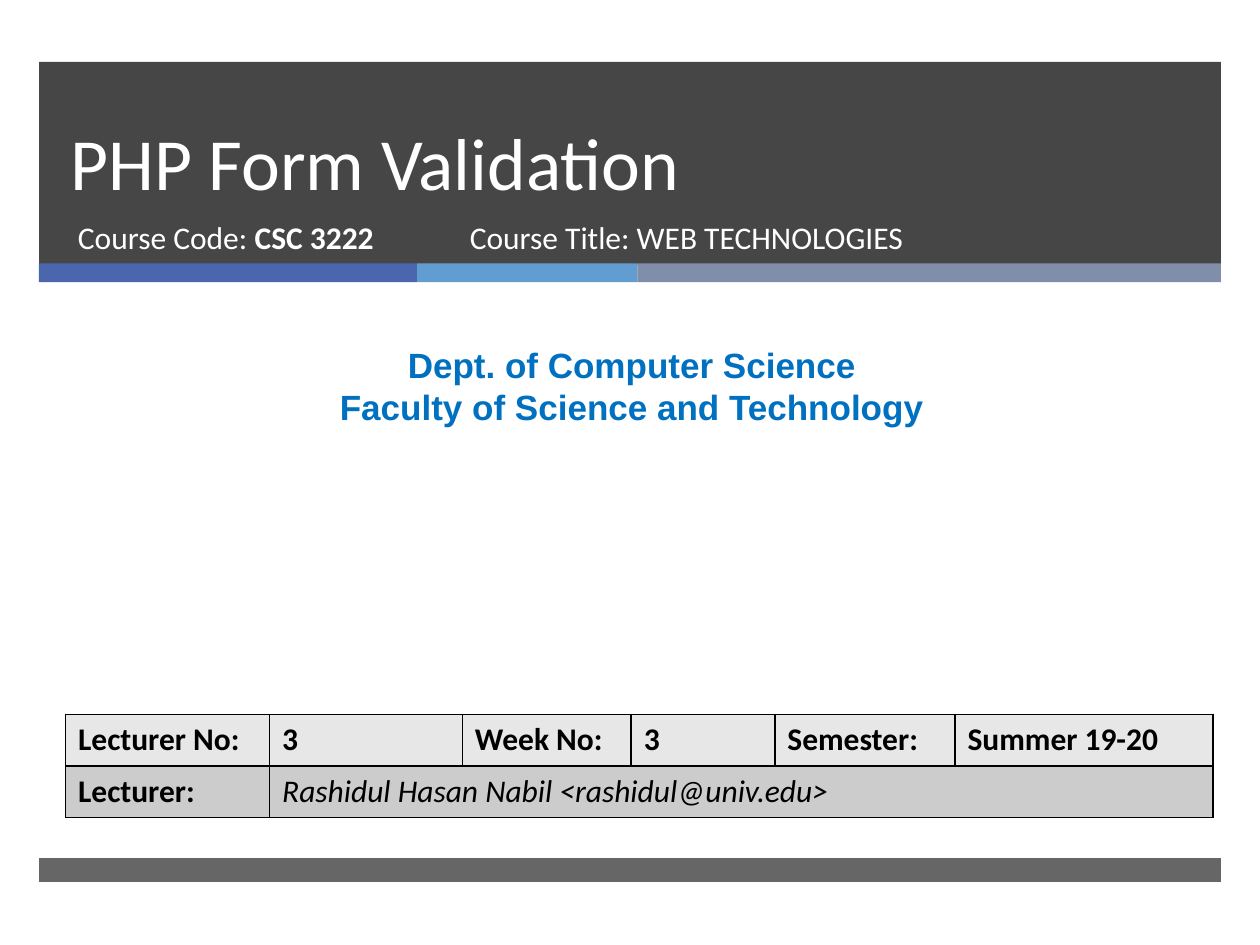
from lxml import etree
from pptx import Presentation
from pptx.dml.color import RGBColor
from pptx.enum.shapes import MSO_SHAPE
from pptx.enum.text import MSO_ANCHOR, PP_ALIGN
from pptx.oxml.ns import qn
from pptx.util import Inches, Pt

RECTANGLE = MSO_SHAPE.RECTANGLE
TOP, BOTTOM = MSO_ANCHOR.TOP, MSO_ANCHOR.BOTTOM
LEFT, CENTER = PP_ALIGN.LEFT, PP_ALIGN.CENTER

COLORS = {"dark": "262626", "blue": "4A66AC", "sky": "629DD1", "slate": "7F8FA9",
          "white": "FFFFFF", "black": "000000", "heading": "0070C0",
          "light_row": "E7E7E7", "dark_row": "CCCCCC"}

# Content
TITLE = "PHP Form Validation"
COURSE_CODE = [("Course Code: ", False), ("CSC 3222", True)]
COURSE_TITLE = [("Course Title: WEB TECHNOLOGIES", False)]
DEPARTMENT = ["Dept. of Computer Science", "Faculty of Science and Technology"]
DETAILS = ["Lecturer No:", "3", "Week No:", "3", "Semester:", "Summer 19-20"]
LECTURER = ["Lecturer:", "Rashidul Hasan Nabil <rashidul@univ.edu>"]

# Layout: left, top, width, height in inches
BAND_LEFT, BAND_WIDTH = 0.31, 9.38
BANDS = [("dark", 85, (BAND_LEFT, 0.49, BAND_WIDTH, 1.61)),
         ("dark", 70, (BAND_LEFT, 6.81, BAND_WIDTH, 0.19))]
STRIPES = [("blue", 3), ("sky", 1.75), ("slate", 4.63)]
STRIPE_TOP, STRIPE_HEIGHT = 2.09, 0.15
COLUMN_WIDTHS = [1.62, 1.53, 1.34, 1.14, 1.43, 2.05]
ROW_HEIGHT = 0.41


def rgb(name):
    return RGBColor.from_string(COLORS[name])


def set_font(font, size, color, name="Calibri", bold=False, italic=False):
    font.size, font.name = Pt(size), name
    font.bold, font.italic = bold, italic
    font.color.rgb = rgb(color)


def add_band(color, opacity, area):
    band = page.shapes.add_shape(RECTANGLE, *map(Inches, area))
    band.shadow.inherit = False
    band.fill.solid()
    band.fill.fore_color.rgb = rgb(color)
    band.line.fill.background()
    if opacity < 100:
        tint = band._element.spPr.find(qn("a:solidFill"))[0]
        etree.SubElement(tint, qn("a:alpha"), val=str(opacity * 1000))


def add_text(area, paragraphs, size, color, name="Calibri", align=LEFT):
    box = page.shapes.add_textbox(*map(Inches, area))
    frame = box.text_frame
    frame.word_wrap, frame.vertical_anchor = True, TOP
    for index, spans in enumerate(paragraphs):
        para = frame.add_paragraph() if index else frame.paragraphs[0]
        para.alignment = align
        set_font(para.font, size, color, name)
        for text, bold in spans:
            span = para.add_run()
            span.text = text
            set_font(span.font, size, color, name, bold)


def fill_cell(cell, text, color, italic=False):
    cell.text = text
    cell.fill.solid()
    cell.fill.fore_color.rgb = rgb(color)
    set_font(cell.text_frame.paragraphs[0].font, 18, "black",
             bold=not italic, italic=italic)


def add_borders(cell):
    properties = cell._tc.get_or_add_tcPr()
    for index, side in enumerate(("lnL", "lnR", "lnT", "lnB")):
        border = etree.Element(qn("a:" + side), w=str(Pt(1)))
        fill = etree.SubElement(border, qn("a:solidFill"))
        etree.SubElement(fill, qn("a:srgbClr"), val=COLORS["black"])
        properties.insert(index, border)


deck = Presentation()
deck.slide_width, deck.slide_height = Inches(10), Inches(7.5)
page = deck.slides.add_slide(deck.slide_layouts[5])

# Header, footer and coloured stripes
for band in BANDS:
    add_band(*band)
left = BAND_LEFT
for color, width in STRIPES:
    add_band(color, 100, (left, STRIPE_TOP, width, STRIPE_HEIGHT))
    left += width

# Title, brought in front of the header
title = page.shapes.title
title.left, title.top, title.width, title.height = map(Inches, (0.46, 0.49, 8.54, 1.19))
title.text_frame.text = TITLE
title.text_frame.vertical_anchor = BOTTOM
heading = title.text_frame.paragraphs[0]
heading.alignment, heading.line_spacing = LEFT, Pt(46)
set_font(heading.font, 42, "white")
page.shapes._spTree.append(title._element)

# Course and department
add_text((0.52, 1.68, 3.05, 0.53), [COURSE_CODE], 18, "white")
add_text((3.63, 1.68, 4.55, 0.53), [COURSE_TITLE], 18, "white")
add_text((0.08, 2.68, 9.87, 0.77), [[(line, True)] for line in DEPARTMENT],
         20, "heading", "Arial", CENTER)

# Lecture details
table = page.shapes.add_table(2, len(COLUMN_WIDTHS), Inches(0.52), Inches(5.67),
                              Inches(sum(COLUMN_WIDTHS)), Inches(2 * ROW_HEIGHT)).table
for column, width in zip(table.columns, COLUMN_WIDTHS):
    column.width = Inches(width)
for row in table.rows:
    row.height = Inches(ROW_HEIGHT)
table.cell(1, 1).merge(table.cell(1, len(COLUMN_WIDTHS) - 1))
for index, text in enumerate(DETAILS):
    fill_cell(table.cell(0, index), text, "light_row")
for index, text in enumerate(LECTURER):
    fill_cell(table.cell(1, index), text, "dark_row", italic=index == 1)
for cell in table.iter_cells():
    add_borders(cell)

deck.save("out.pptx")
